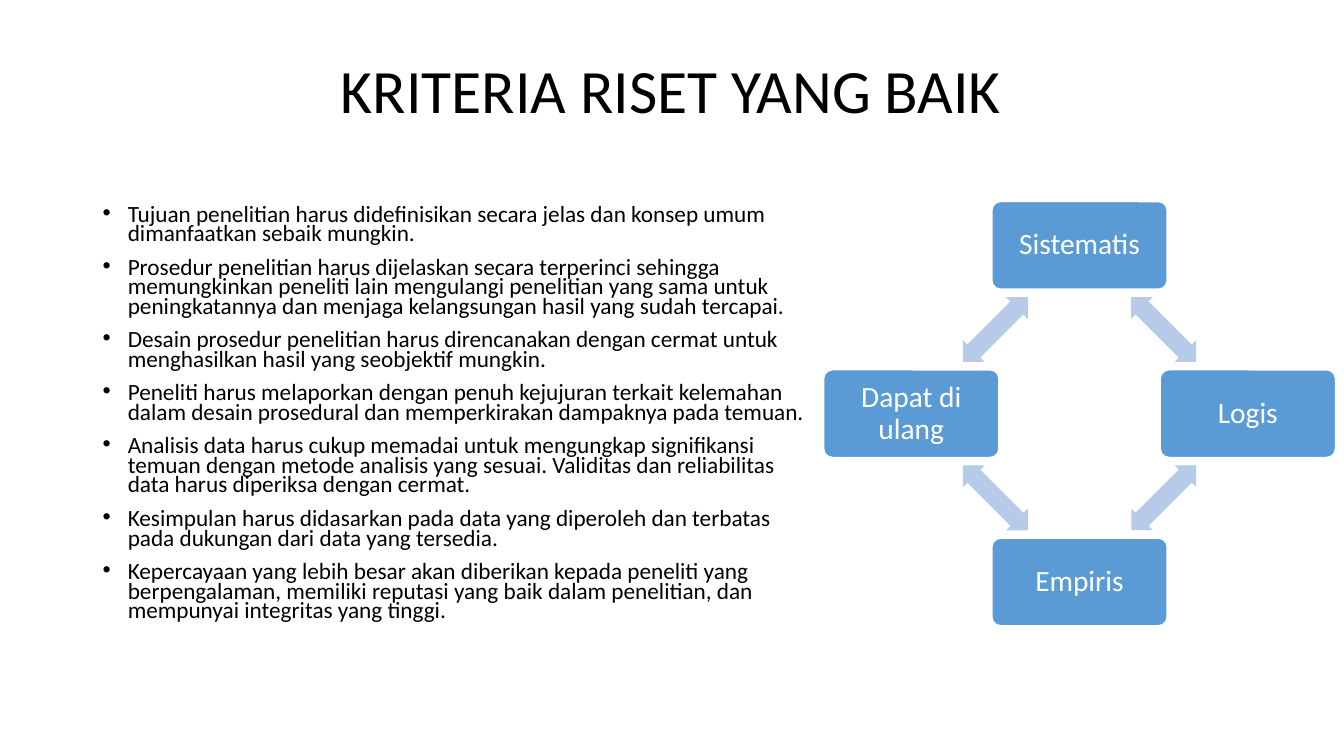
from math import cos, radians, sin

from lxml import etree
from pptx import Presentation
from pptx.dml.color import RGBColor
from pptx.enum.shapes import MSO_SHAPE
from pptx.enum.text import MSO_ANCHOR, MSO_AUTO_SIZE, PP_ALIGN
from pptx.oxml.ns import qn
from pptx.util import Pt

BOX, ARROW = MSO_SHAPE.ROUNDED_RECTANGLE, MSO_SHAPE.LEFT_RIGHT_ARROW
MIDDLE, NO_FIT = MSO_ANCHOR.MIDDLE, MSO_AUTO_SIZE.NONE
LEFT, CENTER = PP_ALIGN.LEFT, PP_ALIGN.CENTER

BLACK = RGBColor(0x00, 0x00, 0x00)
WHITE = RGBColor(0xFF, 0xFF, 0xFF)
BLUE = RGBColor(0x5B, 0x9B, 0xD5)
PALE = RGBColor(0xB5, 0xCB, 0xE7)

POINTS = [
    "Tujuan penelitian harus didefinisikan secara jelas dan konsep umum dimanfaatkan sebaik mungkin.",
    "Prosedur penelitian harus dijelaskan secara terperinci sehingga memungkinkan peneliti lain "
    "mengulangi penelitian yang sama untuk peningkatannya dan menjaga kelangsungan hasil yang sudah tercapai.",
    "Desain prosedur penelitian harus direncanakan dengan cermat untuk menghasilkan hasil yang "
    "seobjektif mungkin.",
    "Peneliti harus melaporkan dengan penuh kejujuran terkait kelemahan dalam desain prosedural "
    "dan memperkirakan dampaknya pada temuan.",
    "Analisis data harus cukup memadai untuk mengungkap signifikansi temuan dengan metode analisis "
    "yang sesuai. Validitas dan reliabilitas data harus diperiksa dengan cermat.",
    "Kesimpulan harus didasarkan pada data yang diperoleh dan terbatas pada dukungan dari data yang tersedia.",
    "Kepercayaan yang lebih besar akan diberikan kepada peneliti yang berpengalaman, memiliki "
    "reputasi yang baik dalam penelitian, dan mempunyai integritas yang tinggi.",
]
TRAITS = ["Sistematis", "Logis", "Empiris", "Dapat di ulang"]
MID_X, MID_Y, RADIUS = 771.1, 295.5, 120.2


def style(para, size, color, align, spacing):
    para.font.name = "Calibri"
    para.font.size = Pt(size)
    para.font.color.rgb = color
    para.alignment = align
    para.line_spacing = spacing


def add_node(kind, angle, dist, width, height, color):
    """Add a shape centred on the ring, the angle running clockwise from the top."""
    x = MID_X + dist * sin(radians(angle))
    y = MID_Y - dist * cos(radians(angle))
    node = slide.shapes.add_shape(
        kind, Pt(x - width / 2), Pt(y - height / 2), Pt(width), Pt(height))
    node.shadow.inherit = False
    node.fill.solid()
    node.fill.fore_color.rgb = color
    return node


prs = Presentation()
prs.slide_width, prs.slide_height = Pt(960), Pt(540)
slide = prs.slides.add_slide(prs.slide_layouts[5])

title = slide.shapes.title
title.left, title.top, title.width, title.height = Pt(236.2), Pt(28.8), Pt(658), Pt(75.6)
title.text_frame.text = "KRITERIA RISET YANG BAIK"
title.text_frame.auto_size = NO_FIT
title.text_frame.vertical_anchor = MIDDLE
style(title.text_frame.paragraphs[0], 44, BLACK, LEFT, 0.9)

body = slide.shapes.add_textbox(Pt(66.2), Pt(144), Pt(517), Pt(342.7)).text_frame
body.word_wrap = True
body.text = "\n".join(POINTS)
for para in body.paragraphs:
    style(para, 16.6, BLACK, LEFT, 0.7)
    para.space_before = Pt(10)
    props = para._p.get_or_add_pPr()
    props.set("marL", str(Pt(18)))
    props.set("indent", str(-Pt(18)))
    font = etree.Element(qn("a:buFont"), typeface="Arial")
    mark = etree.Element(qn("a:buChar"), char="•")
    props.find(qn("a:defRPr")).addprevious(font)
    font.addnext(mark)

for i, trait in enumerate(TRAITS):
    box = add_node(BOX, 90 * i, RADIUS, 125.2, 62.6, BLUE)
    box.adjustments[0] = 0.1
    box.line.color.rgb = WHITE
    box.line.width = Pt(1)
    frame = box.text_frame
    frame.word_wrap = True
    frame.vertical_anchor = MIDDLE
    frame.margin_left = frame.margin_right = Pt(8.4)
    frame.margin_top = frame.margin_bottom = Pt(8.4)
    frame.text = trait
    style(frame.paragraphs[0], 21, WHITE, CENTER, 0.9)

    turn = 90 * i + 45
    arrow = add_node(ARROW, turn, RADIUS * sin(radians(45)), 65.5, 21.9, PALE)
    arrow.adjustments[0] = 0.6
    arrow.adjustments[1] = 0.5
    arrow.line.fill.background()
    arrow.rotation = turn

prs.save("out.pptx")
